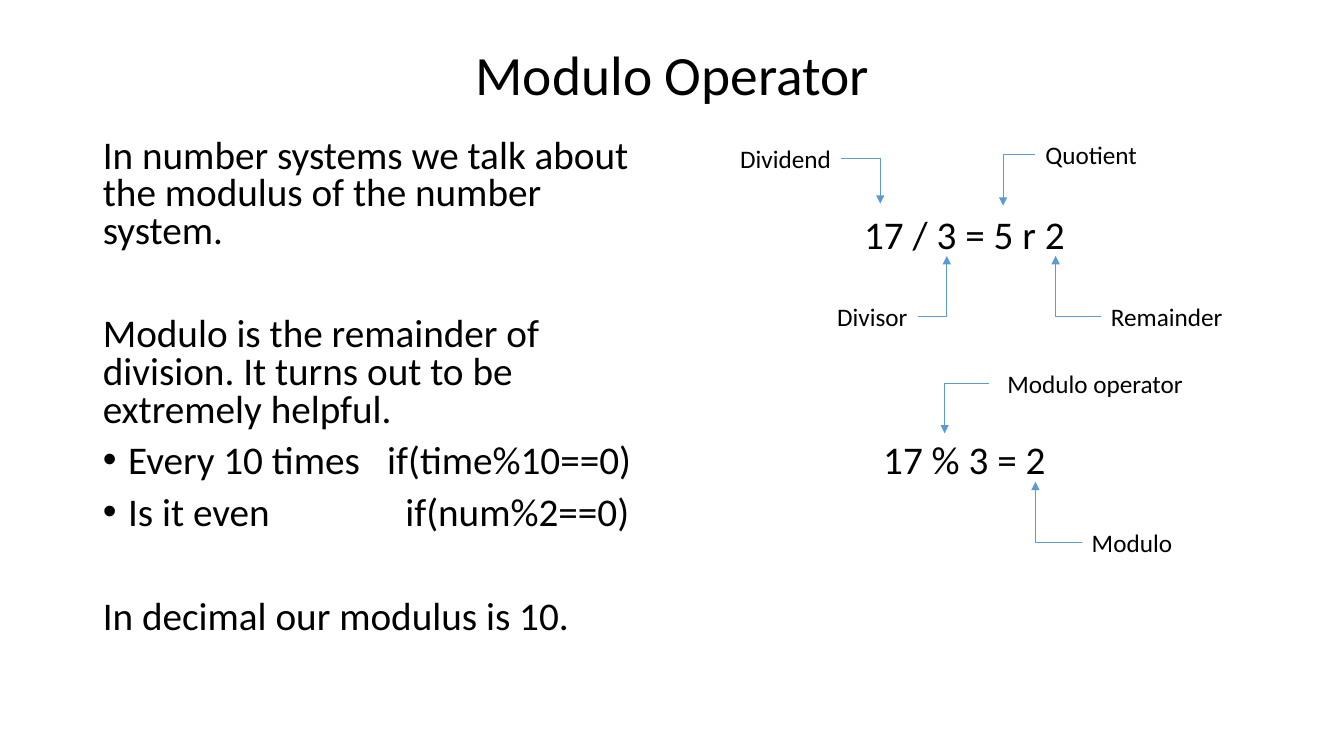
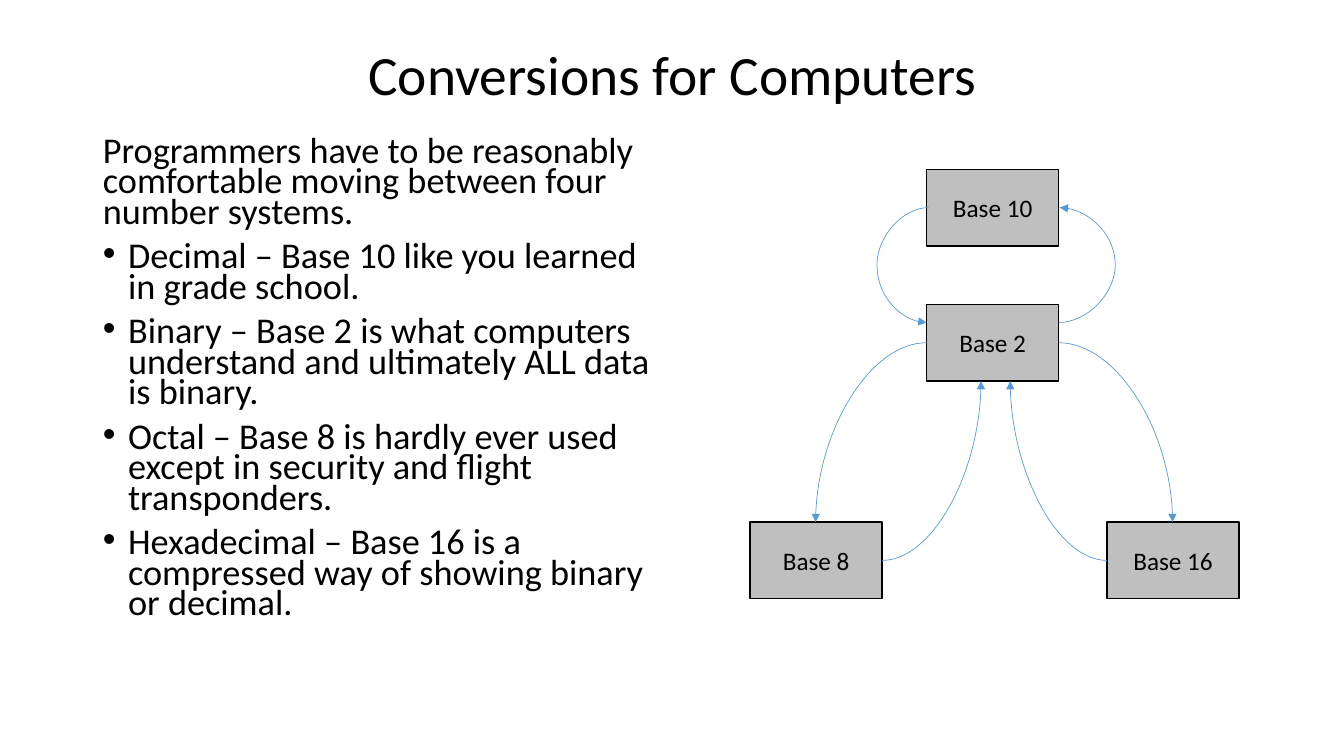
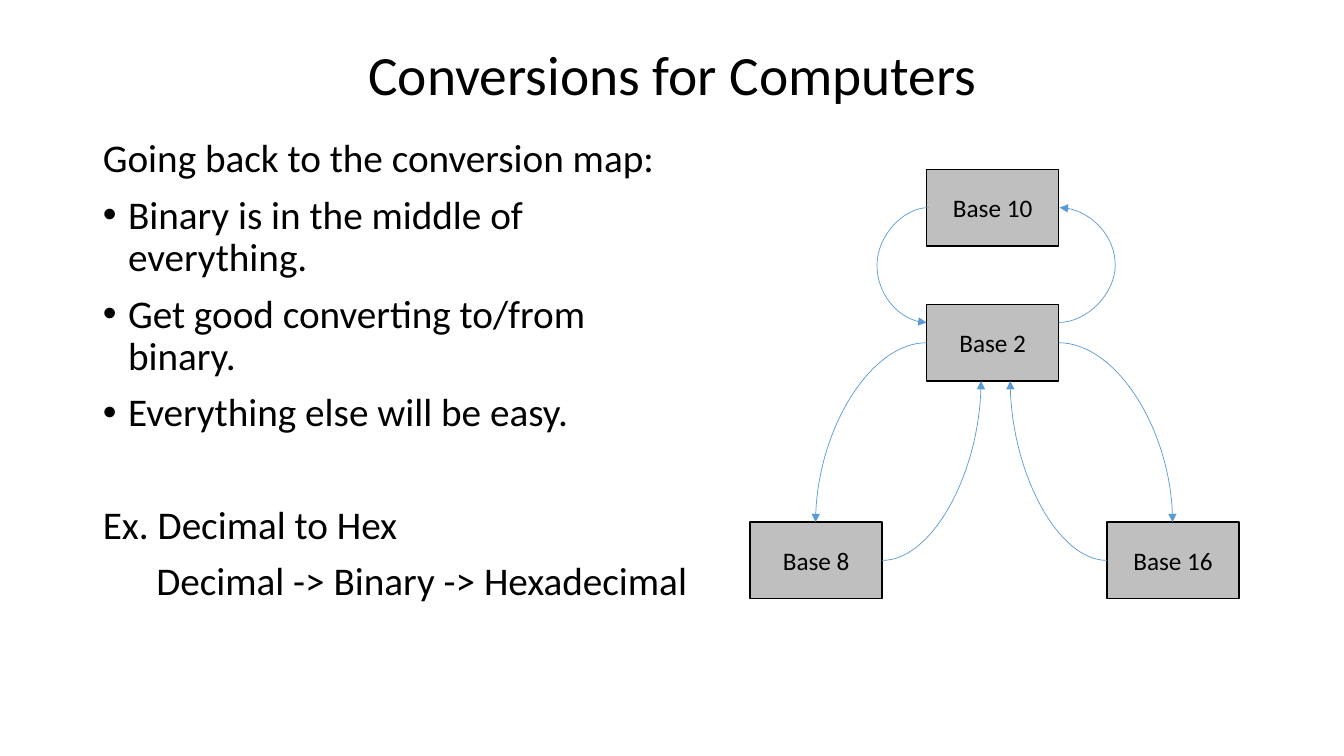
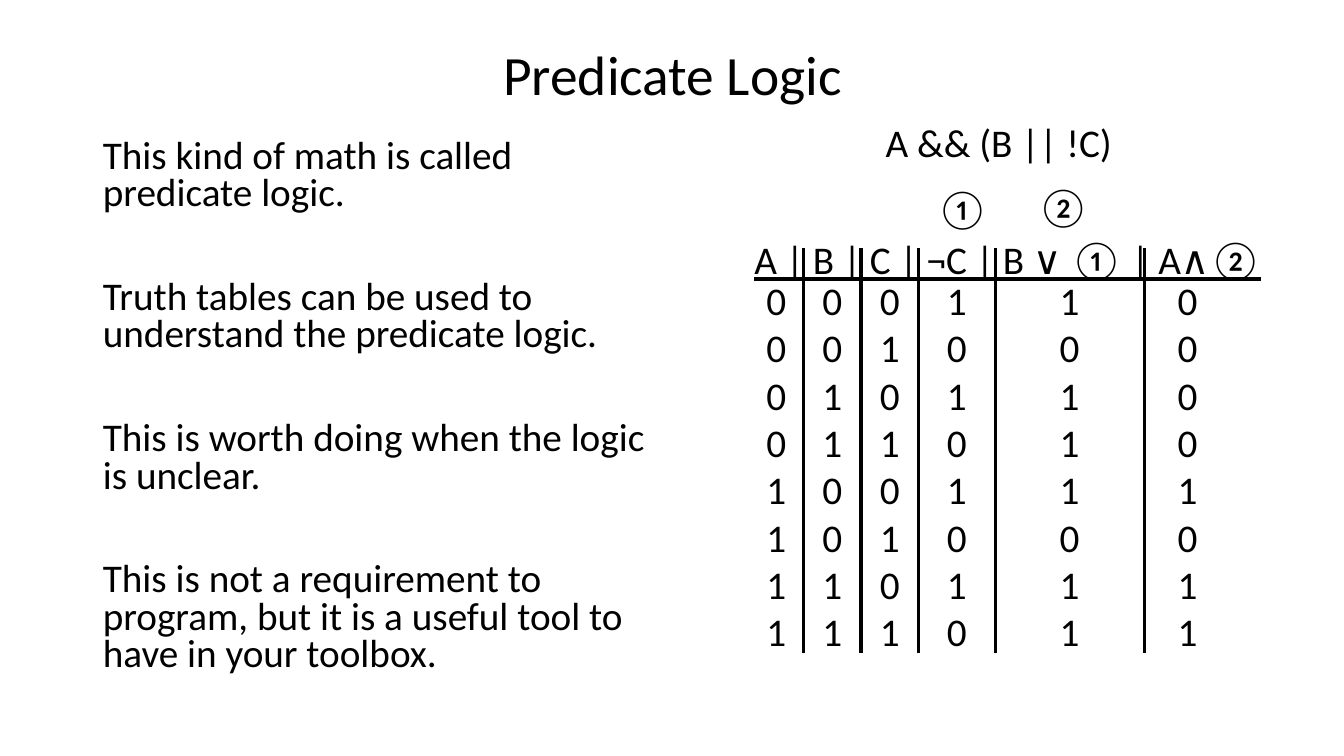
from lxml.etree import SubElement
from pptx import Presentation
from pptx.dml.color import RGBColor
from pptx.enum.shapes import MSO_CONNECTOR as Link, MSO_SHAPE as Shape
from pptx.enum.text import MSO_ANCHOR as Anchor, MSO_AUTO_SIZE as AutoSize, PP_ALIGN as Align
from pptx.oxml.ns import qn
from pptx.util import Emu, Pt

EMU_PER_PX = 9144  # 100 px to the inch
NO_GRID_STYLE = "{2D5ABB26-0587-4C30-8999-92F81FD0307C}"


def px(length):
    return Emu(length * EMU_PER_PX)


def color(code):
    return RGBColor.from_string(code)


def set_formats(target, formats):
    for name, value in formats.items():
        setattr(target, name, value)


class Deck:
    INK, BOX, ARROW = "000000", "BFBFBF", "5B9BD5"
    FONT = "Calibri"
    TITLE_SIZE, TEXT_SIZE, LABEL_SIZE = 39.6, 28, 18
    TITLE_AREA = (92, 40, 1150, 73)
    SPACE = 10
    # Left margin and first-line indent of each paragraph kind
    KINDS = {"plain": (0, 0), "bullet": (25, -25), "inset": (53, 0)}

    def __init__(self):
        self.prs = Presentation()
        set_formats(self.prs, {"slide_width": px(1333), "slide_height": px(750)})

    def place(self, shape, area):
        set_formats(shape, dict(zip(("left", "top", "width", "height"), map(px, area))))

    def fill_line(self, paragraph, text, size, align=Align.LEFT, underline=False):
        paragraph.alignment = align
        run = paragraph.add_run()
        run.text = text
        set_formats(run.font, {"name": self.FONT, "size": Pt(size), "underline": underline})
        run.font.color.rgb = color(self.INK)

    def new_slide(self, title):
        self.slide = self.prs.slides.add_slide(self.prs.slide_layouts[1])
        self.shapes = self.slide.shapes
        heading = self.shapes.title
        self.place(heading, self.TITLE_AREA)
        set_formats(heading.text_frame,
                    {"vertical_anchor": Anchor.MIDDLE, "auto_size": AutoSize.NONE})
        paragraph = heading.text_frame.paragraphs[0]
        paragraph.line_spacing = 0.9
        self.fill_line(paragraph, title, self.TITLE_SIZE, Align.CENTER)

    def body(self, items, width=567, size=TEXT_SIZE, spacing=0.8):
        """Each item is (kind, text) plus optional formats: space, tab."""
        holder = self.slide.placeholders[1]
        self.place(holder, (92, 133, width, 542))
        frame = holder.text_frame
        frame.auto_size = AutoSize.NONE
        for index, (kind, text, *extra) in enumerate(items):
            options = extra[0] if extra else {}
            paragraph = frame.add_paragraph() if index else frame.paragraphs[0]
            margin, indent = self.KINDS[kind]
            props = paragraph._p.get_or_add_pPr()
            props.set("marL", str(px(margin)))
            props.set("indent", str(px(indent)))
            if kind == "bullet":
                SubElement(props, qn("a:buFont"), typeface="Arial")
                SubElement(props, qn("a:buChar"), char="•")
            else:
                SubElement(props, qn("a:buNone"))
            if "tab" in options:
                stops = SubElement(props, qn("a:tabLst"))
                SubElement(stops, qn("a:tab"), pos=str(px(options["tab"])), algn="l")
            space = options.get("space", self.SPACE) if index else 0
            set_formats(paragraph, {"line_spacing": spacing, "space_before": Pt(space)})
            self.fill_line(paragraph, text, size)

    def text(self, text, area, size=TEXT_SIZE, align=Align.LEFT, wrap=True, underline=False):
        frame = self.shapes.add_textbox(*map(px, area)).text_frame
        frame.word_wrap = wrap
        self.fill_line(frame.paragraphs[0], text, size, align, underline)

    def box(self, text, area):
        node = self.shapes.add_shape(Shape.RECTANGLE, *map(px, area))
        node.shadow.inherit = False
        node.fill.solid()
        node.fill.fore_color.rgb = color(self.BOX)
        node.line.color.rgb = color(self.INK)
        node.line.width = Pt(1)
        node.text_frame.vertical_anchor = Anchor.MIDDLE
        self.fill_line(node.text_frame.paragraphs[0], text, self.LABEL_SIZE, Align.CENTER)

    def line(self, start, end, kind=Link.STRAIGHT, stroke=INK, weight=2.25):
        link = self.shapes.add_connector(kind, *map(px, (*start, *end)))
        link.line.color.rgb = color(stroke)
        link.line.width = Pt(weight)
        SubElement(link._element.spPr, qn("a:effectLst"))
        return link

    def arrow(self, start, end, kind=Link.ELBOW, bulge=0):
        """One turn from start to end, or a loop reaching bulge px sideways."""
        link = self.line(start, end, kind, self.ARROW, 0.5)
        SubElement(link.line._get_or_add_ln(), qn("a:tailEnd"), type="triangle")
        geometry = link._element.spPr.find(qn("a:prstGeom"))
        if bulge:
            share = round(bulge / abs(end[0] - start[0]) * 100000)
            guides = geometry.find(qn("a:avLst"))
            if guides is None:
                guides = SubElement(geometry, qn("a:avLst"))
            SubElement(guides, qn("a:gd"), name="adj1", fmla=f"val {share}")
        else:
            geometry.set("prst", geometry.get("prst").replace("3", "2"))

    def grid(self, rows, left, top, widths, row_height):
        frame = self.shapes.add_table(len(rows), len(widths), px(left), px(top),
                                      px(sum(widths)), px(row_height * len(rows)))
        table = frame.table
        set_formats(table, {"first_row": False, "horz_banding": False})
        table._tbl.tblPr.find(qn("a:tableStyleId")).text = NO_GRID_STYLE
        for column, width in zip(table.columns, widths):
            column.width = px(width)
        margins = dict.fromkeys(("margin_left", "margin_right", "margin_top", "margin_bottom"), 0)
        for r, row in enumerate(rows):
            table.rows[r].height = px(row_height)
            for c, value in enumerate(row):
                cell = table.cell(r, c)
                set_formats(cell, margins)
                cell.fill.background()
                self.fill_line(cell.text_frame.paragraphs[0], value, self.TEXT_SIZE, Align.CENTER)

    def conversion_map(self):
        width, height = 131, 76
        nodes = {"Base 10": (919, 168), "Base 2": (919, 302),
                 "Base 8": (744, 518), "Base 16": (1098, 518)}
        for name, corner in nodes.items():
            self.box(name, (*corner, width, height))

        def at(name, dx, dy):
            return nodes[name][0] + dx, nodes[name][1] + dy

        half, middle = width // 2, height // 2
        links = [
            (at("Base 2", width, middle), at("Base 16", half, 0), 0),
            (at("Base 16", 0, middle), at("Base 2", 83, height), 0),
            (at("Base 8", width, middle), at("Base 2", 54, height), 0),
            (at("Base 2", 0, middle), at("Base 8", half, 0), 0),
            (at("Base 2", width, 18), at("Base 10", width + 1, middle), 57),
            (at("Base 10", 2, middle), at("Base 2", 0, 18), 51),
        ]
        for start, end, bulge in links:
            self.arrow(start, end, Link.CURVE, bulge)


def main():
    deck = Deck()

    # Modulo operator
    deck.new_slide("Modulo Operator")
    deck.body([
        ("plain", "In number systems we talk about the modulus of the number system."),
        ("plain", "Modulo is the remainder of division. It turns out to be extremely helpful.",
         {"space": 47}),
        ("bullet", "Every 10 times\tif(time%10==0)", {"tab": 282}),
        ("bullet", "Is it even\tif(num%2==0)", {"tab": 300}),
        ("plain", "In decimal our modulus is 10.", {"space": 47}),
    ])
    for formula, top in (("17 / 3 = 5 r 2", 204), ("17 % 3 = 2", 427)):
        deck.text(formula, (768, top, 377, 57), align=Align.CENTER)
    labels = [
        ("Quotient", 1027, 133, 126, Align.LEFT, (995, 204)),
        ("Dividend", 708, 137, 126, Align.RIGHT, (873, 202)),
        ("Divisor", 784, 294, 126, Align.RIGHT, (939, 254)),
        ("Remainder", 1092, 294, 140, Align.LEFT, (1047, 254)),
        ("Modulo operator", 981, 360, 202, Align.RIGHT, (937, 430)),
        ("Modulo", 1073, 518, 140, Align.LEFT, (1027, 478)),
    ]
    for name, left, top, width, align, tip in labels:
        deck.text(name, (left, top, width, 40), deck.LABEL_SIZE, align)
        edge = left if tip[0] < left else left + width
        deck.arrow((edge, top + 20), tip)

    # The four number systems
    deck.new_slide("Conversions for Computers")
    deck.body([
        ("plain", "Programmers have to be reasonably comfortable moving between four number systems."),
        ("bullet", "Decimal – Base 10 like you learned in grade school."),
        ("bullet", "Binary – Base 2 is what computers understand and ultimately ALL data is binary."),
        ("bullet", "Octal – Base 8 is hardly ever used except in security and flight transponders."),
        ("bullet", "Hexadecimal – Base 16 is a compressed way of showing binary or decimal."),
    ], size=25.9, spacing=0.7)
    deck.conversion_map()

    # Binary in the middle
    deck.new_slide("Conversions for Computers")
    deck.body([
        ("plain", "Going back to the conversion map:"),
        ("bullet", "Binary is in the middle of everything."),
        ("bullet", "Get good converting to/from binary."),
        ("bullet", "Everything else will be easy."),
        ("plain", "Ex. Decimal to Hex", {"space": 50}),
        ("inset", "Decimal -> Binary -> Hexadecimal"),
    ], width=605, spacing=0.9)
    deck.conversion_map()

    # Predicate logic
    deck.new_slide("Predicate Logic")
    deck.body([
        ("plain", "This kind of math is called predicate logic."),
        ("plain", "Truth tables can be used to understand the predicate logic.", {"space": 47}),
        ("plain", "This is worth doing when the logic is unclear.", {"space": 47}),
        ("plain", "This is not a requirement to program, but it is a useful tool to have in your toolbox.",
         {"space": 47}),
    ])
    deck.text("A && (B || !C)", (716, 112, 549, 57), align=Align.CENTER)
    for step, left, top in (("①", 919, 178), ("②", 1019, 176)):
        deck.text(step, (left, top, 72, 57), wrap=False)

    # Truth table: A, B, C, ¬C, B ∨ ¬C, A ∧ (B ∨ ¬C)
    truth_rows = ["000110", "001000", "010110", "011010",
                  "100111", "101000", "110111", "111011"]
    table_left, widths = 743, (54, 57, 57, 76, 148, 86)
    deck.grid(truth_rows, table_left, 276, widths, 47)
    deck.text("A | B | C | ¬C | B ∨ ① | A∧②", (708, 229, 553, 57),
              align=Align.RIGHT, underline=True)
    for column in range(1, len(widths)):
        x = table_left + sum(widths[:column])
        deck.line((x, 246), (x, 648))

    deck.prs.save("out.pptx")


if __name__ == "__main__":
    main()
